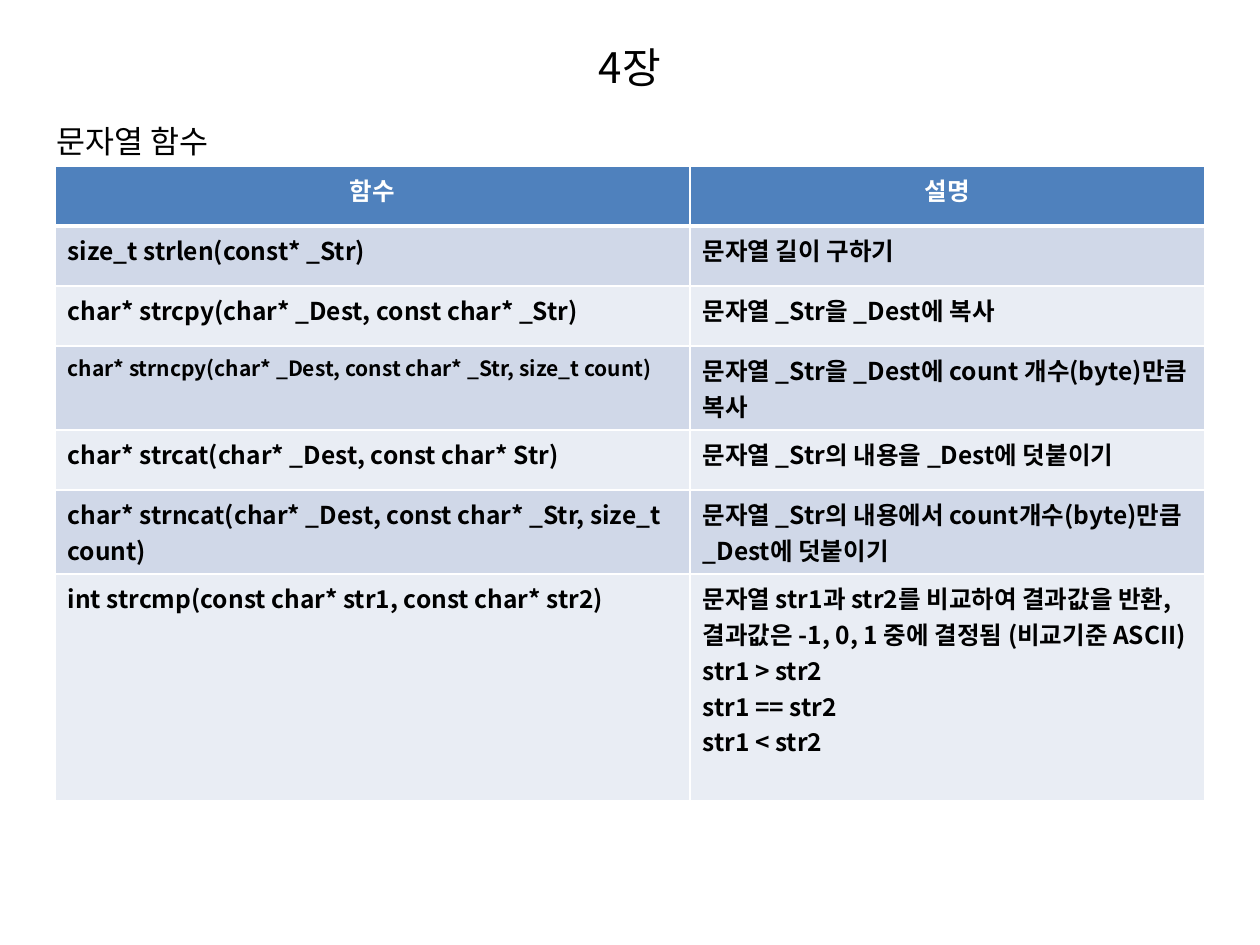
from dataclasses import dataclass

from pptx import Presentation
from pptx.dml.color import RGBColor
from pptx.enum.text import MSO_ANCHOR, MSO_AUTO_SIZE, PP_ALIGN
from pptx.oxml.ns import qn
from pptx.util import Pt
from lxml.etree import SubElement

SCALE = 914400 // 126


@dataclass(frozen=True)
class Theme:
    font: str = "Noto Sans CJK KR"
    text: str = "000000"
    white: str = "FFFFFF"
    header: str = "4F81BD"
    bands: tuple = ("D0D8E8", "E9EDF4")
    title_size: int = 24
    body_size: int = 18
    table_size: int = 14
    small_size: int = 12
    border: int = 1
    header_border: int = 3


THEME = Theme()
TITLE_BOX = (63, 38, 1134, 58)
BODY_BOX = (44, 116, 1150, 738)
TABLE_ORIGIN = (55, 166)
COLUMN_WIDTHS = (635, 515)
ROW_HEIGHT = 60
HEADERS = ("함수", "설명")
FUNCTIONS = (
    ("size_t strlen(const* _Str)", "문자열 길이 구하기"),
    ("char* strcpy(char* _Dest, const char* _Str)", "문자열 _Str을 _Dest에 복사"),
    ("char* strncpy(char* _Dest, const char* _Str, size_t count)",
     "문자열 _Str을 _Dest에 count 개수(byte)만큼 복사"),
    ("char* strcat(char* _Dest, const char* Str)", "문자열 _Str의 내용을 _Dest에 덧붙이기"),
    ("char* strncat(char* _Dest, const char* _Str, size_t count)",
     "문자열 _Str의 내용에서 count개수(byte)만큼 _Dest에 덧붙이기"),
    ("int strcmp(const char* str1, const char* str2)",
     "문자열 str1과 str2를 비교하여 결과값을 반환, 결과값은 -1, 0, 1 중에 결정됨 (비교기준 ASCII)\n"
     "str1 > str2\nstr1 == str2\nstr1 < str2"),
)
SMALL_ROW = 3


def px(length):
    return length * SCALE


def set_attributes(target, values):
    for name, value in values.items():
        setattr(target, name, value)


def write_text(frame, text, size, color=THEME.text, bold=False, align=PP_ALIGN.LEFT):
    frame.text = text
    for paragraph in frame.paragraphs:
        set_attributes(paragraph, {"alignment": align, "space_before": Pt(0)})
        for run in paragraph.runs:
            set_attributes(run.font, {"name": THEME.font, "size": Pt(size), "bold": bold})
            run.font.color.rgb = RGBColor.from_string(color)
            SubElement(run.font._element, qn("a:ea"), typeface=THEME.font)


def fill_placeholder(shape, box, text, size, align, anchor):
    set_attributes(shape, dict(zip(("left", "top", "width", "height"), map(px, box))))
    write_text(shape.text_frame, text, size, align=align)
    set_attributes(shape.text_frame, {
        "word_wrap": True, "auto_size": MSO_AUTO_SIZE.NONE, "vertical_anchor": anchor})


def remove_bullet(paragraph):
    properties = paragraph._p.get_or_add_pPr()
    properties.set("marL", "0")
    properties.set("indent", "0")
    SubElement(properties, qn("a:buNone"))


def add_borders(cell, bottom_width):
    properties = cell._tc.get_or_add_tcPr()
    widths = {"L": THEME.border, "R": THEME.border, "T": THEME.border, "B": bottom_width}
    for side, width in widths.items():
        line = SubElement(properties, qn(f"a:ln{side}"), w=str(Pt(width)))
        fill = SubElement(line, qn("a:solidFill"))
        SubElement(fill, qn("a:srgbClr"), val=THEME.white)


def format_cell(cell, text, fill, bottom_width=THEME.border, size=THEME.table_size, **text_format):
    add_borders(cell, bottom_width)
    cell.fill.solid()
    cell.fill.fore_color.rgb = RGBColor.from_string(fill)
    write_text(cell.text_frame, text, size, bold=True, **text_format)


def add_function_table(slide):
    row_count = len(FUNCTIONS) + 1
    table = slide.shapes.add_table(
        row_count, len(COLUMN_WIDTHS), *map(px, TABLE_ORIGIN),
        px(sum(COLUMN_WIDTHS)), px(ROW_HEIGHT * row_count)).table
    for column, width in zip(table.columns, COLUMN_WIDTHS):
        column.width = px(width)
    for column, text in enumerate(HEADERS):
        format_cell(table.cell(0, column), text, THEME.header, THEME.header_border,
                    color=THEME.white, align=PP_ALIGN.CENTER)
    for row, texts in enumerate(FUNCTIONS, 1):
        for column, text in enumerate(texts):
            is_small = (row, column) == (SMALL_ROW, 0)
            format_cell(table.cell(row, column), text, THEME.bands[(row - 1) % 2],
                        size=THEME.small_size if is_small else THEME.table_size)


def main():
    presentation = Presentation()
    set_attributes(presentation, {"slide_width": px(1260), "slide_height": px(945)})
    slide = presentation.slides.add_slide(presentation.slide_layouts[1])
    body = slide.placeholders[1]
    fill_placeholder(slide.shapes.title, TITLE_BOX, "4장", THEME.title_size,
                     PP_ALIGN.CENTER, MSO_ANCHOR.MIDDLE)
    fill_placeholder(body, BODY_BOX, "문자열 함수", THEME.body_size,
                     PP_ALIGN.LEFT, MSO_ANCHOR.TOP)
    remove_bullet(body.text_frame.paragraphs[0])
    add_function_table(slide)
    presentation.save("out.pptx")


if __name__ == "__main__":
    main()
